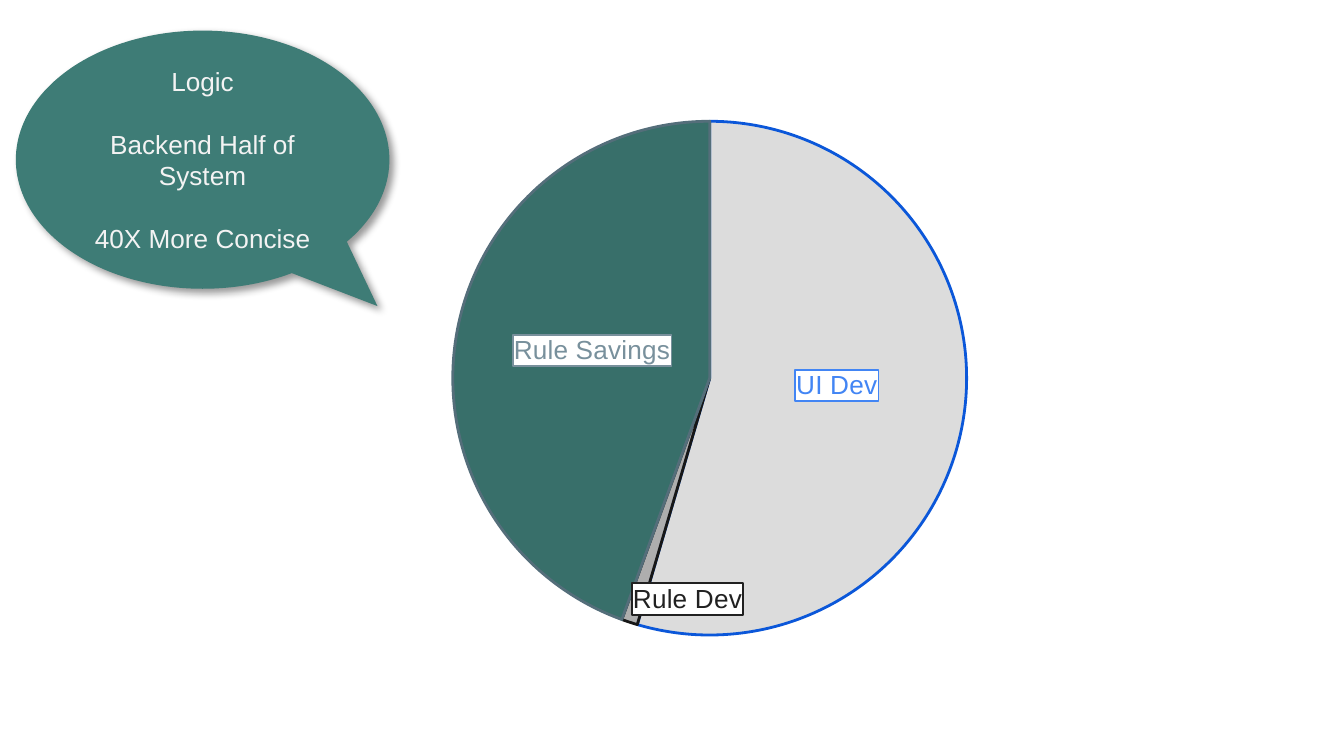
from lxml.etree import SubElement
from pptx import Presentation
from pptx.chart.data import CategoryChartData
from pptx.dml.color import RGBColor
from pptx.enum.chart import XL_CHART_TYPE, XL_LABEL_POSITION
from pptx.enum.shapes import MSO_SHAPE
from pptx.enum.text import MSO_ANCHOR, PP_ALIGN
from pptx.oxml import parse_xml
from pptx.oxml.ns import nsdecls, qn
from pptx.util import Cm, Pt

FONT = "Arial"
BLACK = RGBColor(0x00, 0x00, 0x00)
CALLOUT_GREEN = RGBColor(0x3E, 0x7C, 0x76)
CALLOUT_TEXT = RGBColor(0xF3, 0xF3, 0xF3)
LIGHT_GRAY = RGBColor(0xD9, 0xD9, 0xD9)
MID_GRAY = RGBColor(0xA6, 0xA6, 0xA6)
DARK_GREEN = RGBColor(0x38, 0x6F, 0x6A)
DEEP_BLUE = RGBColor(0x0B, 0x57, 0xD9)
BLUE = RGBColor(0x42, 0x85, 0xF4)
SLATE = RGBColor(0x54, 0x6E, 0x7A)
LIGHT_SLATE = RGBColor(0x78, 0x90, 0x9C)
NEAR_BLACK = RGBColor(0x17, 0x17, 0x17)
CHARCOAL = RGBColor(0x21, 0x21, 0x21)

CENTER = XL_LABEL_POSITION.CENTER
INSIDE_END = XL_LABEL_POSITION.INSIDE_END
SLICES = [
    ("UI Dev", 54, LIGHT_GRAY, 90, DEEP_BLUE, BLUE, CENTER, (0, -0.02)),
    ("Rule Dev", 1, MID_GRAY, 90, NEAR_BLACK, CHARCOAL, INSIDE_END, None),
    ("Rule Savings", 44, DARK_GREEN, 100, SLATE, LIGHT_SLATE, CENTER, (0.01, -0.01)),
]
CALLOUT_LINES = ["Logic", "Backend Half of System", "40X More Concise"]


def make_layout(**values):
    """Return a manual chart layout holding the given settings."""
    settings = "".join(f'<c:{name} val="{value}"/>' for name, value in values.items())
    return parse_xml(
        f'<c:layout {nsdecls("c")}><c:manualLayout>{settings}</c:manualLayout></c:layout>'
    )


def style_label(label, color, position, offset):
    """Show the category name in a white box outlined in the text colour."""
    label.font.name = FONT
    label.font.size = Pt(14)
    label.font.color.rgb = color
    label.position = position
    element = label.font._element.getparent().getparent().getparent()
    while element.tag != qn("c:dLbl"):
        element = element.getparent()
    element.find(qn("c:showVal")).set("val", "0")
    element.find(qn("c:showPercent")).set("val", "0")
    element.find(qn("c:showCatName")).set("val", "1")
    element.find(qn("c:txPr")).addprevious(parse_xml(
        f'<c:spPr {nsdecls("c", "a")}>'
        '<a:solidFill><a:srgbClr val="FFFFFF"/></a:solidFill>'
        f'<a:ln w="12700"><a:solidFill><a:srgbClr val="{color}"/></a:solidFill></a:ln>'
        '</c:spPr>'
    ))
    if offset:
        element.find(qn("c:idx")).addnext(make_layout(x=offset[0], y=offset[1]))


def add_effort_pie(slide, left, top, width, height):
    """Add the pie of development effort and rule savings."""
    data = CategoryChartData()
    data.categories = [entry[0] for entry in SLICES]
    data.add_series("Series 1", [entry[1] for entry in SLICES])
    frame = slide.shapes.add_chart(XL_CHART_TYPE.PIE, left, top, width, height, data)
    chart = frame.chart
    chart.has_legend = False
    chart.has_title = False
    chart.font.name = FONT
    chart.font.size = Pt(10)
    chart.font.color.rgb = BLACK
    plot = chart.plots[0]
    plot.vary_by_categories = True
    for index, (_, _, color, opacity, outline, text, position, offset) in enumerate(SLICES):
        point = plot.series[0].points[index]
        fill = point.format.fill
        fill.solid()
        fill.fore_color.rgb = color
        point.format.line.color.rgb = outline
        point.format.line.width = Pt(1.5)
        style_label(point.data_label, text, position, offset)
    for fill_color, entry in zip(
        chart._chartSpace.xpath(".//c:dPt/c:spPr/a:solidFill/a:srgbClr"), SLICES
    ):
        SubElement(fill_color, qn("a:alpha")).set("val", str(entry[3] * 1000))
    plot_area = chart._chartSpace.chart.plotArea
    for layout in plot_area.findall(qn("c:layout")):
        plot_area.remove(layout)
    plot_area.insert(0, make_layout(
        layoutTarget="inner", xMode="edge", yMode="edge", x=0.257, y=0.032, w=0.569, h=0.935
    ))


def add_logic_callout(slide, left, top, width, height):
    """Add the shadowed speech bubble about the logic half of the system."""
    callout = slide.shapes.add_shape(MSO_SHAPE.OVAL_CALLOUT, left, top, width, height)
    callout.adjustments[0] = 0.468
    callout.adjustments[1] = 0.567
    callout.fill.solid()
    callout.fill.fore_color.rgb = CALLOUT_GREEN
    callout.line.fill.background()
    callout._element.spPr.append(parse_xml(
        f'<a:effectLst {nsdecls("a")}>'
        f'<a:outerShdw blurRad="{Pt(4)}" dist="{Pt(3)}" dir="2700000" rotWithShape="0">'
        '<a:srgbClr val="000000"><a:alpha val="40000"/></a:srgbClr>'
        '</a:outerShdw></a:effectLst>'
    ))
    text_frame = callout.text_frame
    text_frame.word_wrap = True
    text_frame.vertical_anchor = MSO_ANCHOR.MIDDLE
    text_frame.margin_left = text_frame.margin_right = Cm(0.25)
    text_frame.margin_top = text_frame.margin_bottom = Cm(0.25)
    text_frame.text = "\n".join(CALLOUT_LINES)
    for index, paragraph in enumerate(text_frame.paragraphs):
        paragraph.alignment = PP_ALIGN.CENTER
        if index:
            paragraph.space_before = Pt(16.8)
        font = paragraph.runs[0].font
        font.name = FONT
        font.size = Pt(14)
        font.color.rgb = CALLOUT_TEXT


def main():
    """Build the slide and save the presentation."""
    presentation = Presentation()
    presentation.slide_width = Cm(25.4)
    presentation.slide_height = Cm(14.29)
    slide = presentation.slides.add_slide(presentation.slide_layouts[6])
    add_effort_pie(slide, Cm(4.17), Cm(1.96), Cm(17.07), Cm(10.39))
    add_logic_callout(slide, Cm(0.3), Cm(0.58), Cm(7.06), Cm(4.88))
    presentation.save("out.pptx")


if __name__ == "__main__":
    main()
